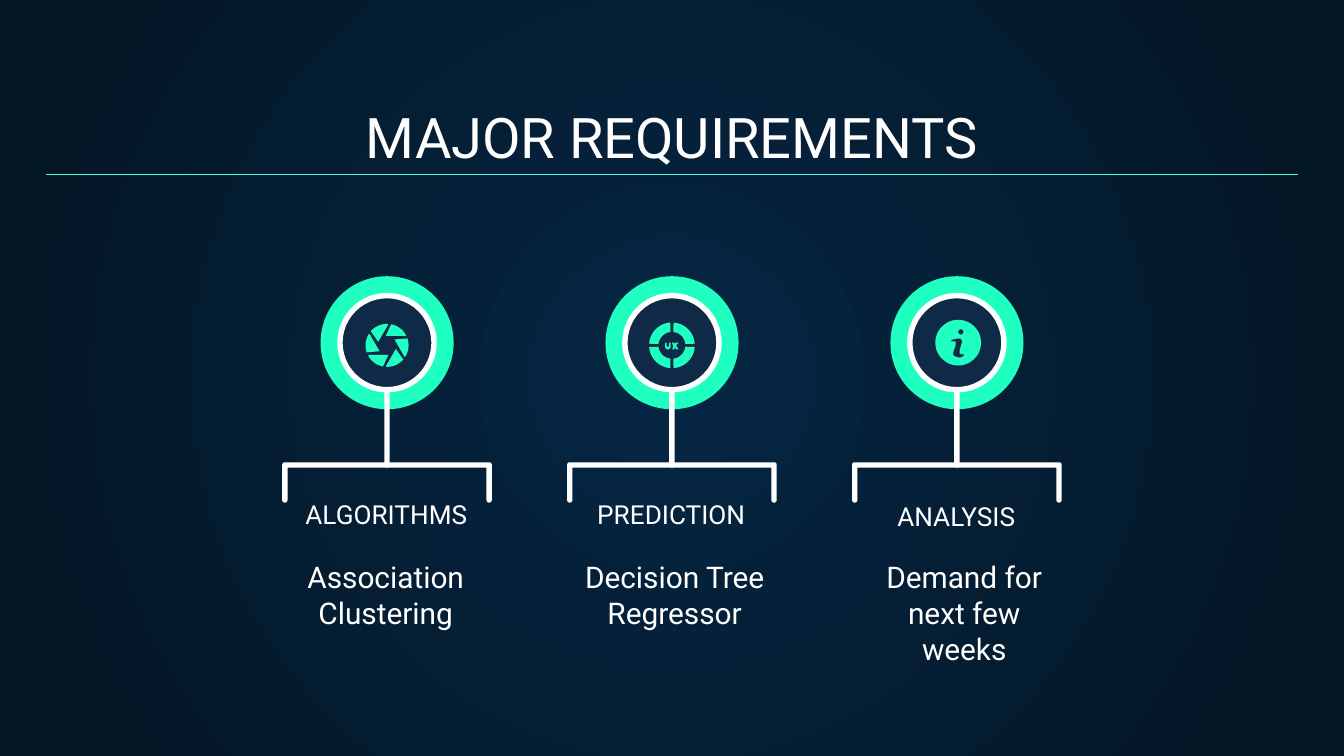
from dataclasses import dataclass
from math import cos, radians, sin

from lxml import etree
from pptx import Presentation
from pptx.dml.color import RGBColor
from pptx.enum.shapes import MSO_CONNECTOR, MSO_SHAPE
from pptx.enum.text import MSO_ANCHOR, PP_ALIGN
from pptx.oxml.ns import qn
from pptx.util import Inches, Pt

OVAL = MSO_SHAPE.OVAL
DONUT = MSO_SHAPE.DONUT
ROUNDED = MSO_SHAPE.ROUNDED_RECTANGLE
STRAIGHT = MSO_CONNECTOR.STRAIGHT
TOP, BOTTOM = MSO_ANCHOR.TOP, MSO_ANCHOR.BOTTOM
CENTER = PP_ALIGN.CENTER

FONT = "Roboto"
WHITE, MINT, NAVY = "FFFFFF", "1EFFC1", "0E2A47"
RULE_MINT = "48FFD5"
GLOW, EDGE = "052643", "041523"

SLIDE_W = 10
SLIDE_H = SLIDE_W * 9 / 16
FIRST_X, PITCH = 2.88, 2.12
BADGE_Y, ICON_Y = 2.55, 2.57
STROKE = 0.04
CAP = STROKE / 2

Points = list[tuple[float, float]]


@dataclass
class Requirement:
    name: str
    name_top: float
    lines: list[str]
    left: float
    width: float
    height: float


REQUIREMENTS = [
    Requirement("ALGORITHMS", 3.83, ["Association", "Clustering"], 2.11, 1.52, 0.55),
    Requirement("PREDICTION", 3.83, ["Decision Tree Regressor"], 4.22, 1.6, 0.63),
    Requirement("ANALYSIS", 3.85, ["Demand for next few weeks"], 6.41, 1.53, 0.86),
]


def rgb(color: str) -> RGBColor:
    return RGBColor.from_string(color)


def paint(sp, color: str) -> None:
    sp.shadow.inherit = False
    sp.fill.solid()
    sp.fill.fore_color.rgb = rgb(color)
    sp.line.fill.background()


def add_preset(s, kind, x: float, y: float, w: float, h: float, color: str):
    """Add a filled preset shape centred on x, y."""
    sp = s.shapes.add_shape(kind, Inches(x - w / 2), Inches(y - h / 2), Inches(w), Inches(h))
    paint(sp, color)
    return sp


def add_outline(s, color: str, *contours: Points) -> None:
    """Add one freeform; contours after the first cut holes in it."""
    emu = [[(Inches(x), Inches(y)) for x, y in contour] for contour in contours]
    builder = s.shapes.build_freeform(*emu[0][0], scale=1.0)
    builder.add_line_segments(emu[0][1:], close=True)
    for contour in emu[1:]:
        builder.move_to(*contour[0])
        builder.add_line_segments(contour[1:], close=True)
    paint(builder.convert_to_shape(), color)


def arc(x: float, y: float, radius: float, start: float, end: float, steps: int = 12) -> Points:
    """Points along an arc; degrees run clockwise from the right."""
    angles = [radians(start + (end - start) * i / steps) for i in range(steps + 1)]
    return [(x + radius * cos(a), y + radius * sin(a)) for a in angles]


def rotate(points: Points, x: float, y: float, degrees: float) -> Points:
    """Turn points given relative to 0, 0 and move them to x, y."""
    c, n = cos(radians(degrees)), sin(radians(degrees))
    return [(x + px * c - py * n, y + px * n + py * c) for px, py in points]


def add_text(s, lines: list[str], left: float, top: float, width: float, height: float,
             size: float, anchor) -> None:
    tf = s.shapes.add_textbox(Inches(left), Inches(top), Inches(width), Inches(height)).text_frame
    tf.word_wrap = True
    tf.vertical_anchor = anchor
    tf.margin_left = tf.margin_right = tf.margin_top = tf.margin_bottom = Inches(0.1)
    for i, line in enumerate(lines):
        p = tf.add_paragraph() if i else tf.paragraphs[0]
        p.alignment = CENTER
        r = p.add_run()
        r.text = line
        r.font.name = FONT
        r.font.size = Pt(size)
        r.font.color.rgb = rgb(WHITE)


def add_bracket(s, x: float) -> None:
    left, right, top, foot = x - 0.76, x + 0.76, 3.46, 3.72
    add_outline(s, WHITE, [
        *arc(left, top, CAP, 180, 270), *arc(right, top, CAP, 270, 360),
        *arc(right, foot, CAP, 0, 180), (right - CAP, top + CAP),
        (left + CAP, top + CAP), *arc(left, foot, CAP, 0, 180),
    ])


def add_badge(s, x: float) -> None:
    add_bracket(s, x)
    add_preset(s, OVAL, x, BADGE_Y, 0.99, 0.99, MINT)
    stem = add_preset(s, ROUNDED, x, 2.98, STROKE, 1, WHITE)
    stem.adjustments[0] = 0.5
    add_preset(s, OVAL, x, BADGE_Y, 0.7, 0.7, NAVY)
    ring = add_preset(s, DONUT, x, BADGE_Y, 0.74, 0.74, WHITE)
    ring.adjustments[0] = STROKE / 0.74


def add_aperture(s, x: float) -> None:
    blade = [(-0.01, -0.07), (0.14, -0.07), *arc(0, 0, 0.16, -30, -79)]
    for i in range(6):
        add_outline(s, MINT, rotate(blade, x, ICON_Y, 60 * i))


def add_ux_ring(s, x: float) -> None:
    sector = [*arc(0, 0, 0.17, 4, 86), *arc(0, 0, 0.1, 84, 6)]
    for i in range(4):
        add_outline(s, MINT, rotate(sector, x, ICON_Y, 90 * i))
    add_outline(s, MINT, [
        (x - 0.05, 2.55), *arc(x - 0.03, 2.58, 0.02, 180, 0), (x - 0.01, 2.55),
        (x - 0.02, 2.55), *arc(x - 0.03, 2.57, 0.01, 0, 180), (x - 0.04, 2.55),
    ])
    letter_x = [(0, 2.55), (0.01, 2.58), (0, 2.6), (0.02, 2.6), (0.02, 2.58), (0.03, 2.6),
                (0.05, 2.6), (0.03, 2.57), (0.05, 2.55), (0.03, 2.55), (0.02, 2.56), (0.02, 2.55)]
    add_outline(s, MINT, [(x + dx, y) for dx, y in letter_x])


def add_info(s, x: float) -> None:
    letter_i = [(0, 2.52), (0.03, 2.52), (0.04, 2.54), (0.02, 2.61), (0.02, 2.63), (0.04, 2.64),
                (0.05, 2.63), (0.05, 2.65), (0.03, 2.66), (0.01, 2.66), (-0.02, 2.65),
                (-0.03, 2.63), (-0.01, 2.57), (-0.01, 2.54), (-0.04, 2.54), (-0.04, 2.53)]
    add_outline(s, MINT, arc(x + 0.01, BADGE_Y, 0.17, 0, 360, 48),
                arc(x + 0.03, 2.47, 0.02, 0, 360), [(x + dx, y) for dx, y in letter_i])


def set_background(s) -> None:
    """Radial gradient, lightest in the middle."""
    fill = s.background.fill
    fill.gradient()
    for stop, color in zip(fill.gradient_stops, (GLOW, EDGE)):
        stop.color.rgb = rgb(color)
    grad = s.element.find(".//" + qn("a:gradFill"))
    grad.remove(grad.find(qn("a:lin")))
    radial = etree.SubElement(grad, qn("a:path"), {"path": "circle"})
    etree.SubElement(radial, qn("a:fillToRect"), dict.fromkeys("ltrb", "50000"))


def add_rule(s) -> None:
    rule = s.shapes.add_connector(STRAIGHT, Inches(0.34), Inches(1.3), Inches(9.66), Inches(1.3))
    rule.line.color.rgb = rgb(RULE_MINT)
    rule.line.width = Pt(0.75)
    etree.SubElement(rule._element.spPr, qn("a:effectLst"))


def main() -> None:
    prs = Presentation()
    prs.slide_width, prs.slide_height = Inches(SLIDE_W), Inches(SLIDE_H)
    s = prs.slides.add_slide(prs.slide_layouts[6])
    set_background(s)
    add_text(s, ["MAJOR REQUIREMENTS"], 0.34, 0.7, 9.32, 0.66, 30, BOTTOM)
    add_rule(s)
    for i, (item, add_icon) in enumerate(zip(REQUIREMENTS, (add_aperture, add_ux_ring, add_info))):
        x = FIRST_X + PITCH * i
        add_badge(s, x)
        add_icon(s, x)
        add_text(s, [item.name], x - 1.14, item.name_top, 2.27, 0.21, 14, BOTTOM)
        add_text(s, item.lines, item.left, 4.06, item.width, item.height, 16, TOP)
    prs.save("out.pptx")


if __name__ == "__main__":
    main()
